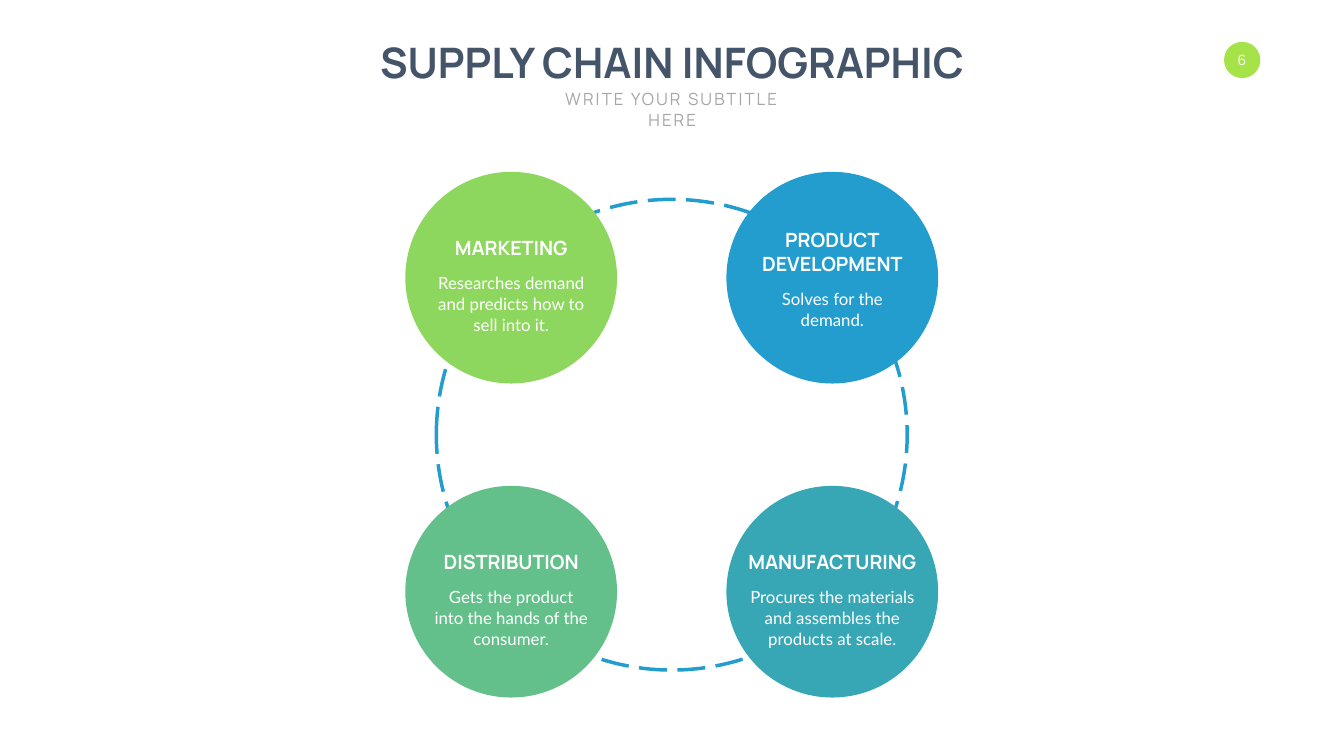
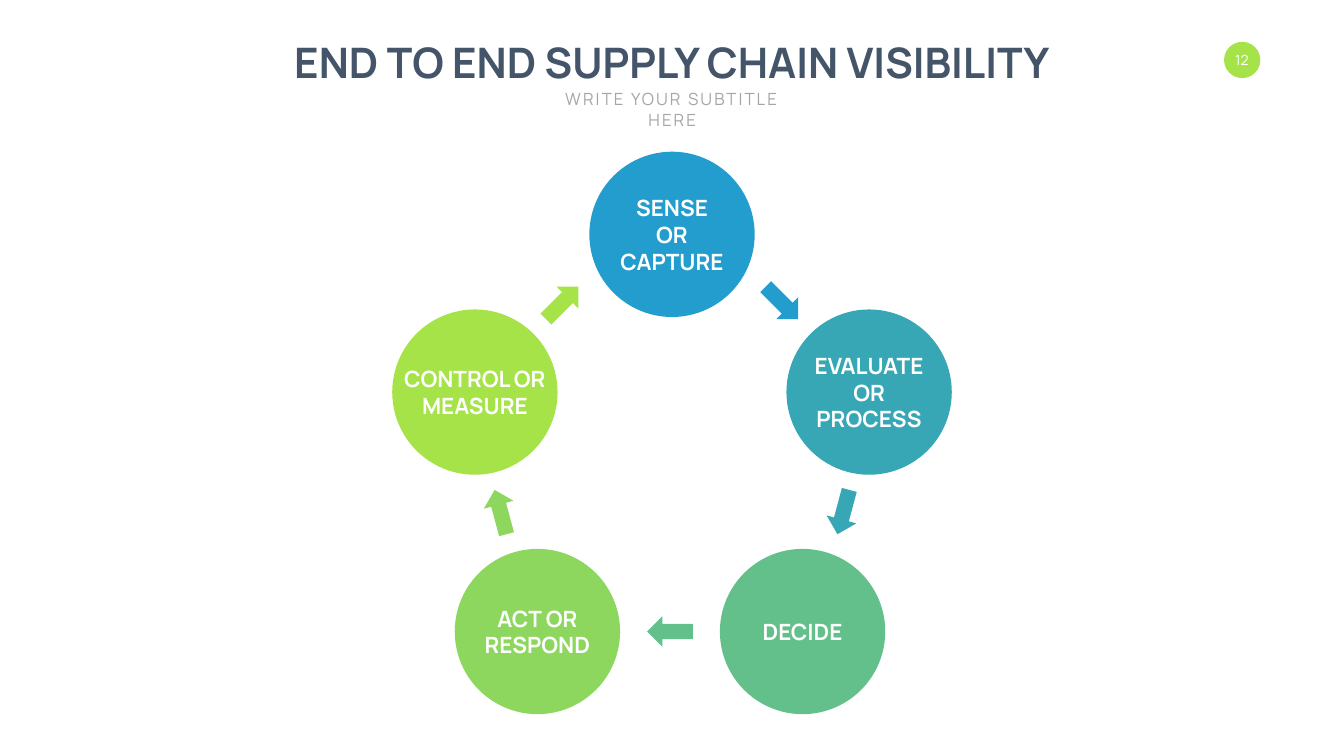
import pptx
import pptx.dml.color
import pptx.enum.dml
import pptx.enum.shapes
import pptx.enum.text
import pptx.util
from pptx.util import Inches

SHAPE = pptx.enum.shapes.MSO_SHAPE
ANCHOR = pptx.enum.text.MSO_ANCHOR

SLIDE_WIDTH, SLIDE_HEIGHT = 26.66, 15
CENTRE = SLIDE_WIDTH / 2
HEADING_FONT, BODY_FONT = "Manrope", "Lato"
WHITE, NAVY, GREY = "FFFFFF", "445469", "A6A6A6"
BLUE, TEAL, SEA, GREEN, LIME = "229DCE", "37A7B6", "63C08A", "8ED75E", "A5E348"


def colour(value):
    return pptx.dml.color.RGBColor.from_string(value)


def place(item, left, top, width, height):
    item.left, item.top = Inches(left), Inches(top)
    item.width, item.height = Inches(width), Inches(height)


def write(item, text, size, fill=WHITE, font=HEADING_FONT, bold=False,
          anchor=ANCHOR.TOP, spacing=0):
    frame = item.text_frame
    frame.text = text
    frame.word_wrap = True
    frame.auto_size = pptx.enum.text.MSO_AUTO_SIZE.NONE
    frame.vertical_anchor = anchor
    for para in frame.paragraphs:
        para.alignment = pptx.enum.text.PP_ALIGN.CENTER
        for span in para.runs:
            span.font.name = font
            span.font.size = pptx.util.Pt(size)
            span.font.bold = bold
            span.font.color.rgb = colour(fill)
            if spacing:
                span.font._element.set("spc", str(spacing * 100))
    return frame


def add_text(page, box, text, size, **style):
    return write(page.shapes.add_textbox(*map(Inches, box)), text, size, **style)


def add_solid(page, kind, box, fill, rotation=0):
    shape = page.shapes.add_shape(kind, *map(Inches, box))
    shape.shadow.inherit = False
    shape.fill.solid()
    shape.fill.fore_color.rgb = colour(fill)
    shape.line.fill.background()
    shape.rotation = rotation
    return shape


def add_page(deck, title, title_width, number):
    """Blank page with the shared heading, subtitle and page badge."""
    page = deck.slides.add_slide(deck.slide_layouts.get_by_name("Title Only"))

    # Heading
    place(page.shapes.title, CENTRE - title_width / 2, 0.67, title_width, 1.11)
    write(page.shapes.title, title, 60, fill=NAVY, bold=True)
    add_text(page, (CENTRE - 2.71, 1.72, 5.43, 0.5), "WRITE YOUR SUBTITLE HERE", 24,
             fill=GREY, spacing=3)

    # Page badge
    add_solid(page, SHAPE.OVAL, (24.28, 0.83, 0.72, 0.72), LIME)
    frame = add_text(page, (24.43, 1.02, 0.41, 0.34), number, 20, anchor=ANCHOR.MIDDLE)
    frame.margin_left = frame.margin_right = frame.margin_top = frame.margin_bottom = 0
    return page


def add_stage(page, box, fill, heading, heading_width, body, body_width, split):
    """Circle with a heading that ends at split and a body just below it."""
    left, top, width, _ = box
    middle = left + width / 2
    add_solid(page, SHAPE.OVAL, box, fill)
    height = 0.1 + 0.47 * len(heading.split("\n"))
    add_text(page, (middle - heading_width / 2, top + split - height, heading_width, height),
             heading, 28, bold=True, anchor=ANCHOR.BOTTOM)
    frame = add_text(page, (middle - body_width / 2, top + split + 0.15, body_width, 1.33),
                     body, 24, font=BODY_FONT)
    frame.paragraphs[0].line_spacing = pptx.util.Pt(30)
    frame.paragraphs[0].space_before = pptx.util.Pt(4.8)


def add_stage_ring(page, box):
    """Four stages at the corners of the box, joined by a dashed ring."""
    left, top, width, height = box
    ring_size, stage_size = 9.34, 4.2
    ring = add_solid(page, SHAPE.OVAL,
                     (left + (width - ring_size) / 2, top + (height - ring_size) / 2,
                      ring_size, ring_size), WHITE)
    ring.line.color.rgb = colour(BLUE)
    ring.line.width = pptx.util.Pt(5)
    ring.line.dash_style = pptx.enum.dml.MSO_LINE.LONG_DASH

    # column, row, fill, heading and width, body and width, split
    stages = [
        (1, 0, BLUE, "PRODUCT\nDEVELOPMENT", 3.04, "Solves for the demand.", 3.27, 2.1),
        (0, 0, GREEN, "MARKETING", 2.54,
         "Researches demand and predicts how to sell into it.", 3.27, 1.78),
        (1, 1, TEAL, "MANUFACTURING", 3.7,
         "Procures the materials and assembles the products at scale.", 3.7, 1.78),
        (0, 1, SEA, "DISTRIBUTION", 2.93,
         "Gets the product into the hands of the consumer.", 3.27, 1.78),
    ]
    for column, row, *content in stages:
        stage_box = (left + column * (width - stage_size),
                     top + row * (height - stage_size), stage_size, stage_size)
        add_stage(page, stage_box, *content)


def add_cycle(page, box):
    """Five steps with arrows; offsets run from the top centre of the box."""
    left, top, width, _ = box
    middle = left + width / 2
    step_size, arrow_width, arrow_height = 3.28, 0.91, 0.61

    # Steps: centre x, centre y, fill, label, label width
    steps = [
        (0, 1.64, BLUE, "SENSE OR\nCAPTURE", 2.31),
        (3.91, 4.77, TEAL, "EVALUATE\nOR PROCESS", 3),
        (2.59, 9.52, SEA, "DECIDE", 1.81),
        (-2.67, 9.52, GREEN, "ACT OR\nRESPOND", 2.31),
        (-3.91, 4.77, LIME, "CONTROL OR\nMEASURE", 3.1),
    ]
    for x, y, fill, label, label_width in steps:
        add_solid(page, SHAPE.OVAL, (middle + x - step_size / 2, top + y - step_size / 2,
                                     step_size, step_size), fill)
        height = 0.1 + 0.54 * len(label.split("\n"))
        add_text(page, (middle + x - label_width / 2, top + y - height / 2,
                        label_width, height),
                 label, 32, bold=True, anchor=ANCHOR.MIDDLE)

    # Arrows: centre x, centre y, fill, shape, rotation
    arrows = [
        (2.18, 3, BLUE, SHAPE.RIGHT_ARROW, 45),
        (3.4, 7.15, TEAL, SHAPE.LEFT_ARROW, 285),
        (-0.04, 9.52, SEA, SHAPE.LEFT_ARROW, 0),
        (-3.4, 7.15, GREEN, SHAPE.LEFT_ARROW, 75),
        (-2.18, 3, LIME, SHAPE.RIGHT_ARROW, 315),
    ]
    for x, y, fill, kind, rotation in arrows:
        add_solid(page, kind, (middle + x - arrow_width / 2, top + y - arrow_height / 2,
                               arrow_width, arrow_height), fill, rotation)


def main():
    deck = pptx.Presentation()
    deck.slide_width, deck.slide_height = Inches(SLIDE_WIDTH), Inches(SLIDE_HEIGHT)

    page = add_page(deck, "SUPPLY CHAIN INFOGRAPHIC", 12.29, "6")
    add_stage_ring(page, (8.04, 3.41, 10.57, 10.43))

    page = add_page(deck, "END TO END SUPPLY CHAIN VISIBILITY", 15.69, "12")
    add_cycle(page, (7.78, 3.01, 11.1, 11.16))

    deck.save("out.pptx")


if __name__ == "__main__":
    main()
